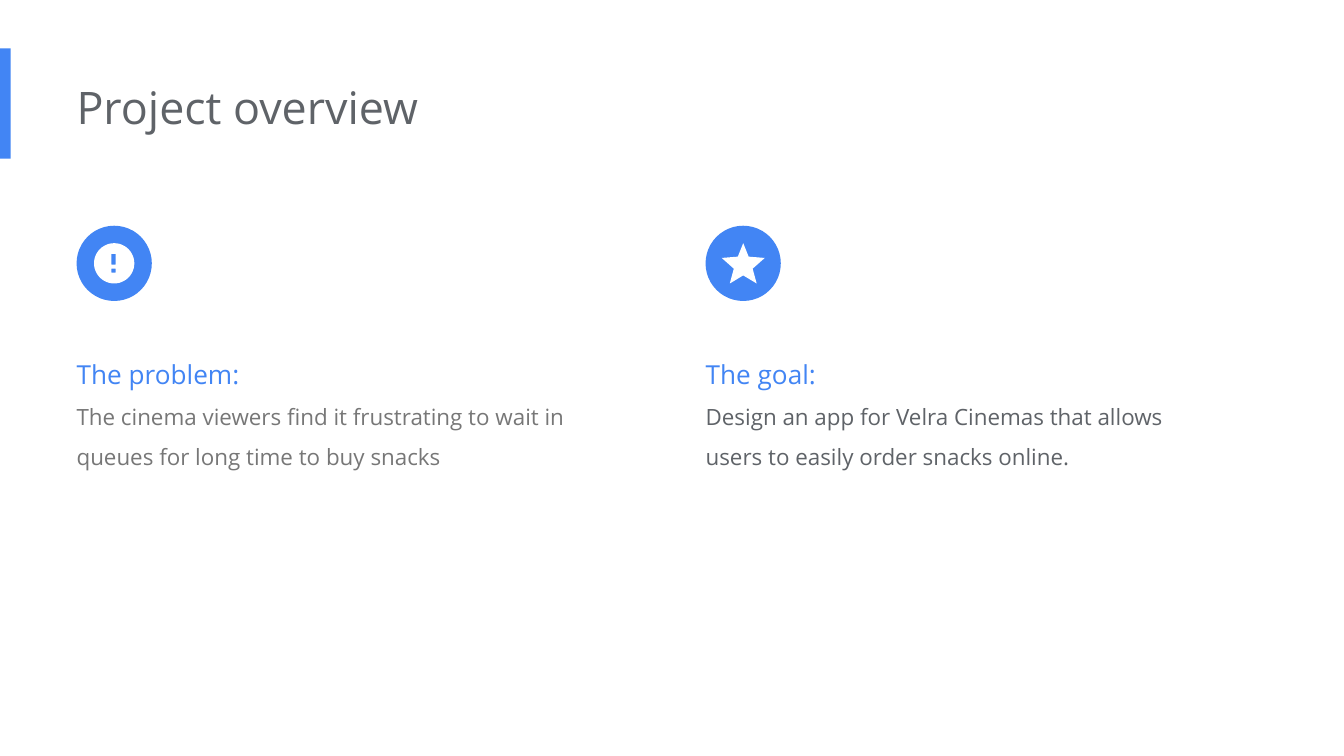
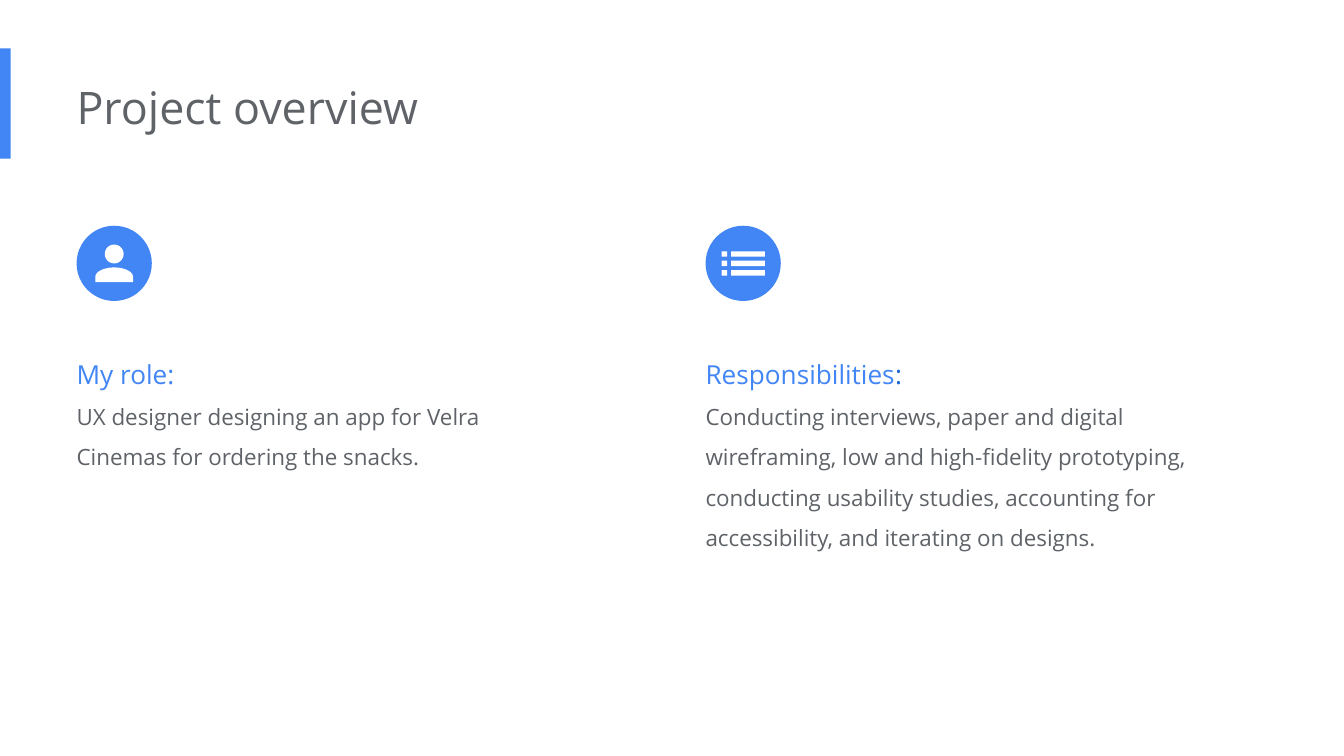
import math
from pptx import Presentation
from pptx import util as u
from pptx.dml import color
from pptx.enum import shapes, text

HUES = {"blue": "4285F4", "navy": "1967D2", "slate": "5F6368",
        "gray": "777777", "white": "FFFFFF"}
FONT = "Open Sans"


def arc(x, y, rx, ry, start=0, end=360, steps=48):
    turns = [math.radians(start + (end - start) * i / steps) for i in range(steps + 1)]
    return [(x + rx * math.cos(t), y + ry * math.sin(t)) for t in turns]


def rect(x, y, wide, high):
    return [(x, y), (x + wide, y), (x + wide, y + high), (x, y + high)]


HALF = [(0, -0.15), (0.04, -0.05), (0.16, -0.04), (0.07, 0.04), (0.1, 0.15), (0, 0.09)]
ICONS = {
    "alert": [arc(0, 0, 0.15, 0.15), rect(-0.02, -0.07, 0.03, 0.08),
              rect(-0.02, 0.04, 0.03, 0.03)],
    "star": [HALF + [(-x, y) for x, y in HALF[-2:0:-1]]],
    "person": [arc(0, -0.07, 0.07, 0.07),
               arc(0, 0.1, 0.14, 0.07, 180, 360) + [(0.14, 0.14), (-0.14, 0.14)]],
    "list": [rect(x, -0.09 + 0.07 * row, wide, 0.04)
             for row in range(3) for x, wide in ((-0.16, 0.04), (-0.09, 0.25))],
}


def paint(shape, hue):
    shape.fill.solid()
    shape.fill.fore_color.rgb = color.RGBColor.from_string(HUES[hue])
    shape.line.fill.background()
    shape.shadow.inherit = False


def block(slide, kind, box, hue):
    shape = slide.shapes.add_shape(kind, *map(u.Inches, box))
    paint(shape, hue)


def style(run, size, hue):
    run.font.name = FONT
    run.font.size = u.Pt(size)
    run.font.color.rgb = color.RGBColor.from_string(HUES[hue])


def write(slide, box, lines, space=None):
    frame = slide.shapes.add_textbox(*map(u.Inches, box)).text_frame
    frame.word_wrap = True
    frame.auto_size = text.MSO_AUTO_SIZE.SHAPE_TO_FIT_TEXT
    frame.margin_left = 0
    frame.margin_top = frame.margin_right = frame.margin_bottom = u.Inches(0.1)
    frame.text = "\n".join(words for words, size, hue in lines)
    for para, (words, size, hue) in zip(frame.paragraphs, lines):
        if space:
            para.line_spacing = space
        style(para.runs[0], size, hue)
    return frame


def icon(slide, name, x, y):
    first, *rest = [[(u.Inches(a), u.Inches(b)) for a, b in ring] for ring in ICONS[name]]
    pen = slide.shapes.build_freeform(*first[0])
    pen.add_line_segments(first[1:])
    for ring in rest:
        pen.move_to(*ring[0])
        pen.add_line_segments(ring[1:])
    paint(pen.convert_to_shape(u.Inches(x), u.Inches(y)), "white")


def header(slide, title):
    block(slide, shapes.MSO_SHAPE.RECTANGLE, (0, 0.36, 0.08, 0.82), "blue")
    write(slide, (0.57, 0.49, 6.73, 0.61), [(title, 24, "slate")])


def column(slide, box, name, head, body, hue="slate", colon=None):
    left, top, wide, high = box
    block(slide, shapes.MSO_SHAPE.OVAL, (left, top, 0.56, 0.56), "blue")
    icon(slide, name, left + 0.28, top + 0.28)
    frame = write(slide, (left, top + 0.77, wide, high - 0.77),
                  [(head, 14, "blue"), (body, 12, hue)], 1.5)
    if colon:
        run = frame.paragraphs[0].add_run()
        run.text = ":"
        style(run, 14, colon)


def page(deck, title, parts):
    slide = deck.slides.add_slide(deck.slide_layouts[6])
    header(slide, title)
    for left, (wide, high, *rest) in zip((0.57, 5.25), parts):
        column(slide, (left, 1.68, wide, high), *rest)


def main():
    deck = Presentation()
    deck.slide_width = u.Inches(10)
    deck.slide_height = u.Inches(10) * 9 // 16
    page(deck, "Project overview", [
        (3.77, 1.93, "alert", "The problem:",
         "The cinema viewers find it frustrating to wait in queues for long time "
         "to buy snacks", "gray"),
        (3.58, 1.93, "star", "The goal:",
         "Design an app for Velra Cinemas that allows users to easily order "
         "snacks online."),
    ])
    page(deck, "Project overview", [
        (3.77, 1.93, "person", "My role:",
         "UX designer designing an app for Velra Cinemas for ordering the snacks."),
        (3.77, 2.44, "list", "Responsibilities",
         "Conducting interviews, paper and digital wireframing, low and "
         "high-fidelity prototyping, conducting usability studies, accounting for "
         "accessibility, and iterating on designs.", "slate", "navy"),
    ])
    deck.save("out.pptx")


if __name__ == "__main__":
    main()
